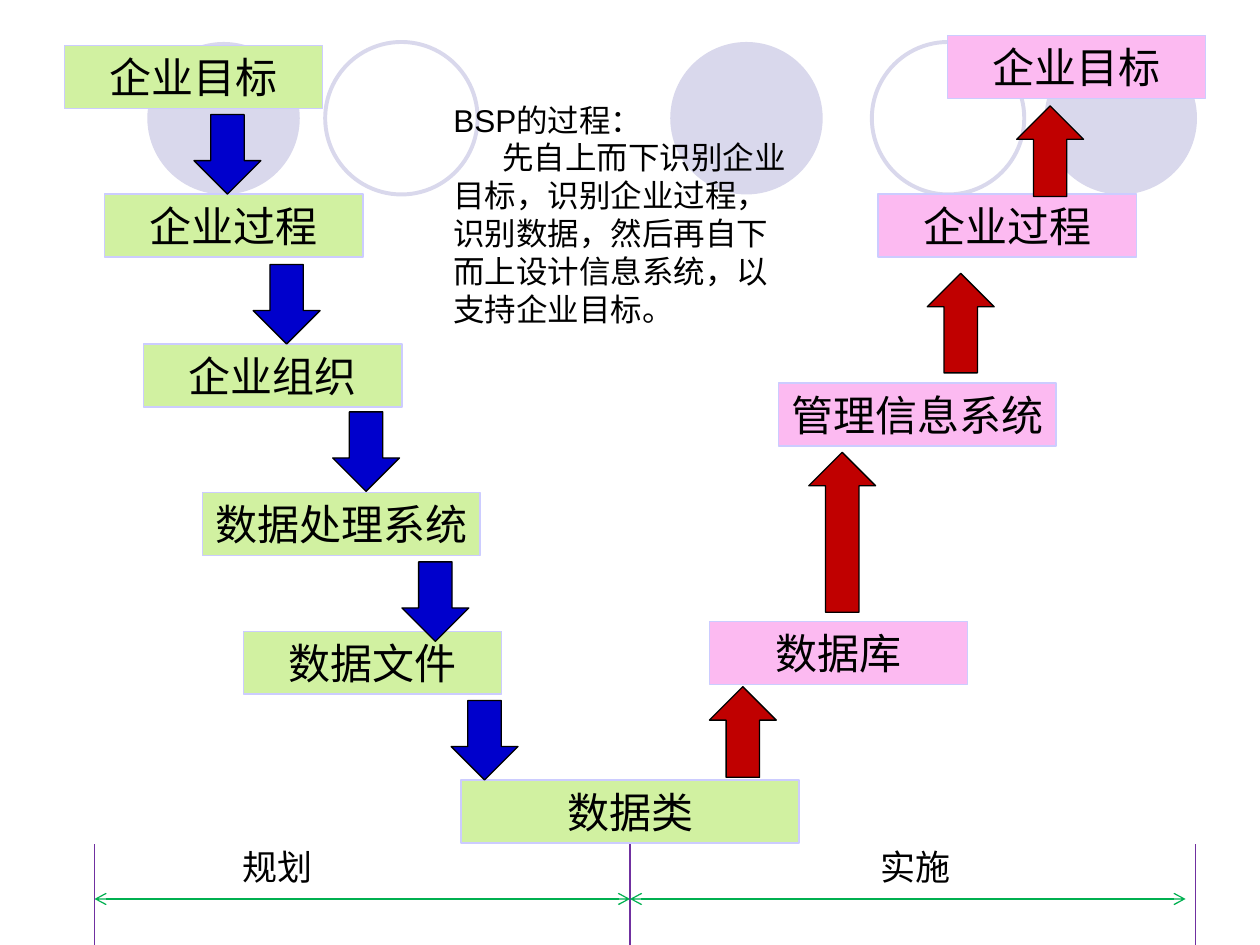
from lxml import etree
from pptx import Presentation
from pptx.dml.color import RGBColor
from pptx.enum.shapes import MSO_CONNECTOR as Connector, MSO_SHAPE as Shape
from pptx.enum.text import MSO_AUTO_SIZE as AutoSize, MSO_ANCHOR as Anchor, PP_ALIGN as Align
from pptx.oxml.ns import qn
from pptx.util import Pt

BLACK = RGBColor(0x00, 0x00, 0x00)
LAVENDER = RGBColor(0xD9, 0xD8, 0xEC)
BORDER = RGBColor(0xCC, 0xCC, 0xFF)
GREEN = RGBColor(0xD1, 0xF1, 0xA1)
PINK = RGBColor(0xFC, 0xBA, 0xF1)
BLUE = RGBColor(0x00, 0x00, 0xCC)
RED = RGBColor(0xC0, 0x00, 0x00)
PURPLE = RGBColor(0x70, 0x30, 0xA0)
SPAN_GREEN = RGBColor(0x00, 0xB0, 0x50)

CIRCLE_TOP, CIRCLE_SIZE = 24, 87.1
CIRCLES = [(383, True), (596.9, True), (84.2, True), (498.2, False), (185.8, False)]

# label, left, top, width
PLANNING_STEPS = [
    ("企业目标", 36.7, 25.9, 147.6),
    ("企业过程", 59.8, 110.9, 147.6),
    ("企业组织", 82.1, 196.6, 147.6),
    ("数据处理系统", 115.9, 281.5, 158.4),
    ("数据文件", 139, 360.7, 147.6),
    ("数据类", 263.5, 445.7, 193),
]
BUILDING_STEPS = [
    ("数据库", 405.4, 355, 147.6),
    ("管理信息系统", 445, 218.9, 158.4),
    ("企业过程", 501.8, 110.9, 147.6),
    ("企业目标", 541.4, 20.2, 147.6),
]
STEP_HEIGHT = 36

ARROW_WIDTH, DOWN_HEIGHT = 38.2, 45.4
DOWN_ARROWS = [(110.9, 65.5), (144.7, 151.2), (190.1, 235.4), (229.7, 321.1), (257.8, 400.3)]
# left, top, height
UP_ARROWS = [(405.4, 392.4, 51.8), (462.2, 258.5, 91.4), (529.9, 156.2, 56.9), (581, 60.5, 51.8)]

PHASE_START, PHASE_MIDDLE, PHASE_END, SPAN_END = 54, 360, 683.3, 677.5
BOUNDARY_TOP, SPAN_TOP, SLIDE_BOTTOM = 482.4, 513.7, 540


def write_text(frame, *lines, size=24, font="Times New Roman", color=BLACK,
               align=Align.CENTER, indents=()):
    """Fill a text frame, one paragraph a line; indents maps line numbers to first-line indents."""
    frame.vertical_anchor = Anchor.TOP
    frame.auto_size = AutoSize.SHAPE_TO_FIT_TEXT
    indents = dict(indents)
    for number, line in enumerate(lines):
        paragraph = frame.paragraphs[0] if number == 0 else frame.add_paragraph()
        paragraph.alignment = align
        if number in indents:
            paragraph._p.get_or_add_pPr().set("indent", str(Pt(indents[number])))
        run = paragraph.add_run()
        run.text = line
        run.font.size = Pt(size)
        run.font.name = font
        run.font.color.rgb = color


class Painter:
    """Draws elements on the current slide; all lengths are in points."""

    line_width = 0.75

    def __init__(self, slide):
        self.slide = slide

    def shape(self, kind, left, top, width, height, fill=None, line=None, line_width=line_width):
        shape = self.slide.shapes.add_shape(kind, Pt(left), Pt(top), Pt(width), Pt(height))
        shape.shadow.inherit = False
        if fill is None:
            shape.fill.background()
        else:
            shape.fill.solid()
            shape.fill.fore_color.rgb = fill
        if line is None:
            shape.line.fill.background()
        else:
            shape.line.color.rgb = line
            shape.line.width = Pt(line_width)
        return shape

    def circle(self, left, filled):
        style = {"fill": LAVENDER} if filled else {"line": LAVENDER, "line_width": 2.25}
        self.shape(Shape.OVAL, left, CIRCLE_TOP, CIRCLE_SIZE, CIRCLE_SIZE, **style)

    def step(self, label, left, top, width, fill):
        shape = self.shape(Shape.RECTANGLE, left, top, width, STEP_HEIGHT, fill, BORDER)
        shape.text_frame.word_wrap = True
        write_text(shape.text_frame, label)

    def arrow(self, kind, left, top, height, fill):
        self.shape(kind, left, top, ARROW_WIDTH, height, fill, BLACK)

    def text(self, left, top, width, height, *lines, wrap=False, **style):
        frame = self.slide.shapes.add_textbox(Pt(left), Pt(top), Pt(width), Pt(height)).text_frame
        frame.word_wrap = wrap
        write_text(frame, *lines, **style)

    def line(self, x1, y1, x2, y2, color, arrows=False):
        connector = self.slide.shapes.add_connector(
            Connector.STRAIGHT, Pt(x1), Pt(y1), Pt(x2), Pt(y2))
        connector.line.color.rgb = color
        connector.line.width = Pt(self.line_width)
        if arrows:
            outline = connector.line._get_or_add_ln()
            for end in ("a:headEnd", "a:tailEnd"):
                etree.SubElement(outline, qn(end), type="arrow")
        etree.SubElement(connector._element.spPr, qn("a:effectLst"))


def main():
    presentation = Presentation()
    presentation.slide_width, presentation.slide_height = Pt(720), Pt(540)
    painter = Painter(presentation.slides.add_slide(presentation.slide_layouts[6]))

    for left, filled in CIRCLES:
        painter.circle(left, filled)

    for steps, fill in ((PLANNING_STEPS, GREEN), (BUILDING_STEPS, PINK)):
        for step in steps:
            painter.step(*step, fill)

    for left, top in DOWN_ARROWS:
        painter.arrow(Shape.DOWN_ARROW, left, top, DOWN_HEIGHT, BLUE)
    for left, top, height in UP_ARROWS:
        painter.arrow(Shape.UP_ARROW, left, top, height, RED)

    for x in (PHASE_MIDDLE, PHASE_START, PHASE_END):
        painter.line(x, BOUNDARY_TOP, x, SLIDE_BOTTOM, PURPLE)
    for start, end in ((PHASE_START, PHASE_MIDDLE), (PHASE_MIDDLE, SPAN_END)):
        painter.line(start, SPAN_TOP, end, SPAN_TOP, SPAN_GREEN, arrows=True)

    for label, left in (("规划", 130.8), ("实施", 495.1)):
        painter.text(left, 479.5, 56, 31.7, label, size=20)
    painter.text(
        252, 54, 210.2, 136.8,
        "BSP的过程：",
        "先自上而下识别企业目标，识别企业过程，识别数据，然后再自下而上设计信息系统，以支持企业目标。",
        wrap=True, size=18, font="Arial", align=Align.LEFT, indents={1: 28})

    presentation.save("out.pptx")


if __name__ == "__main__":
    main()
